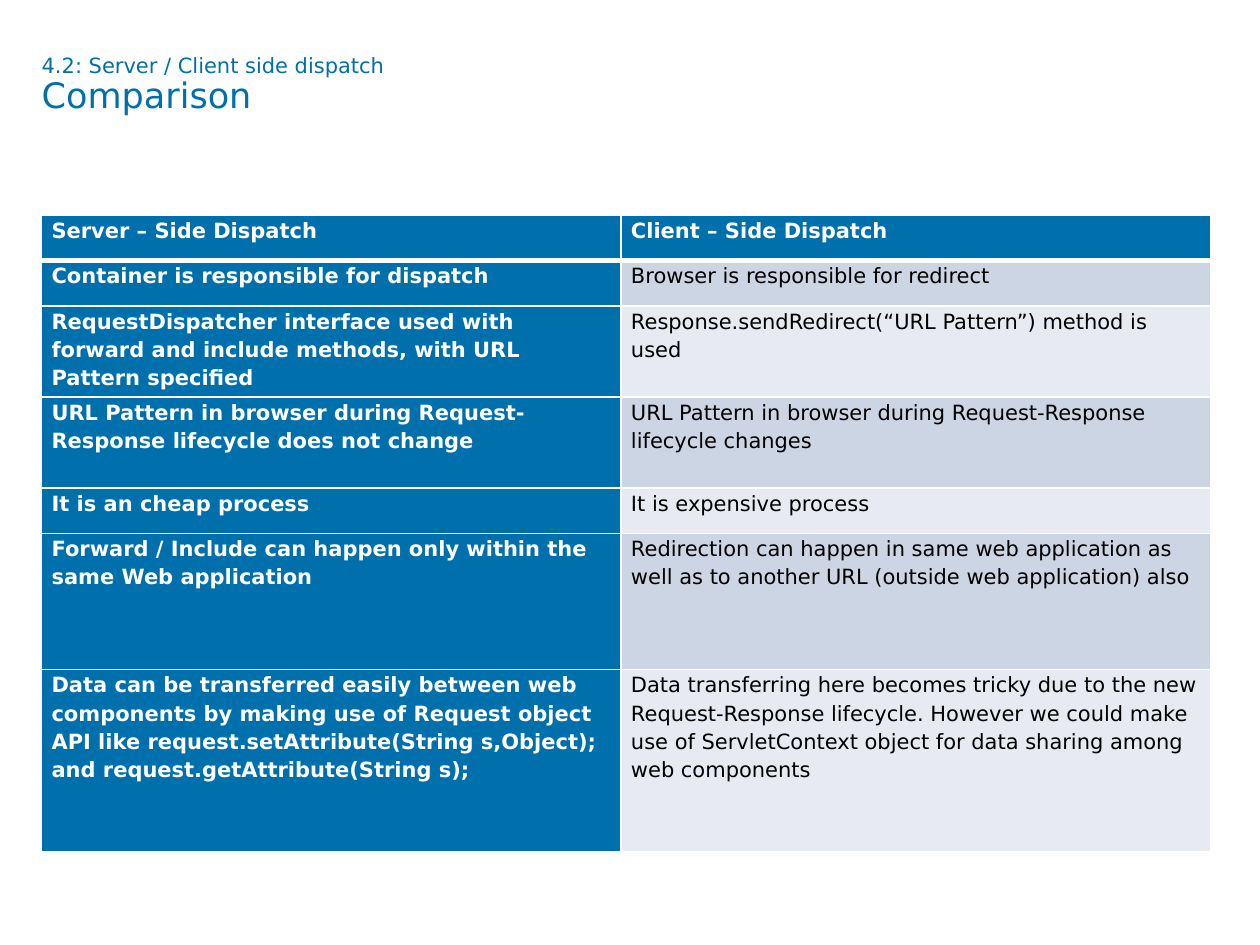
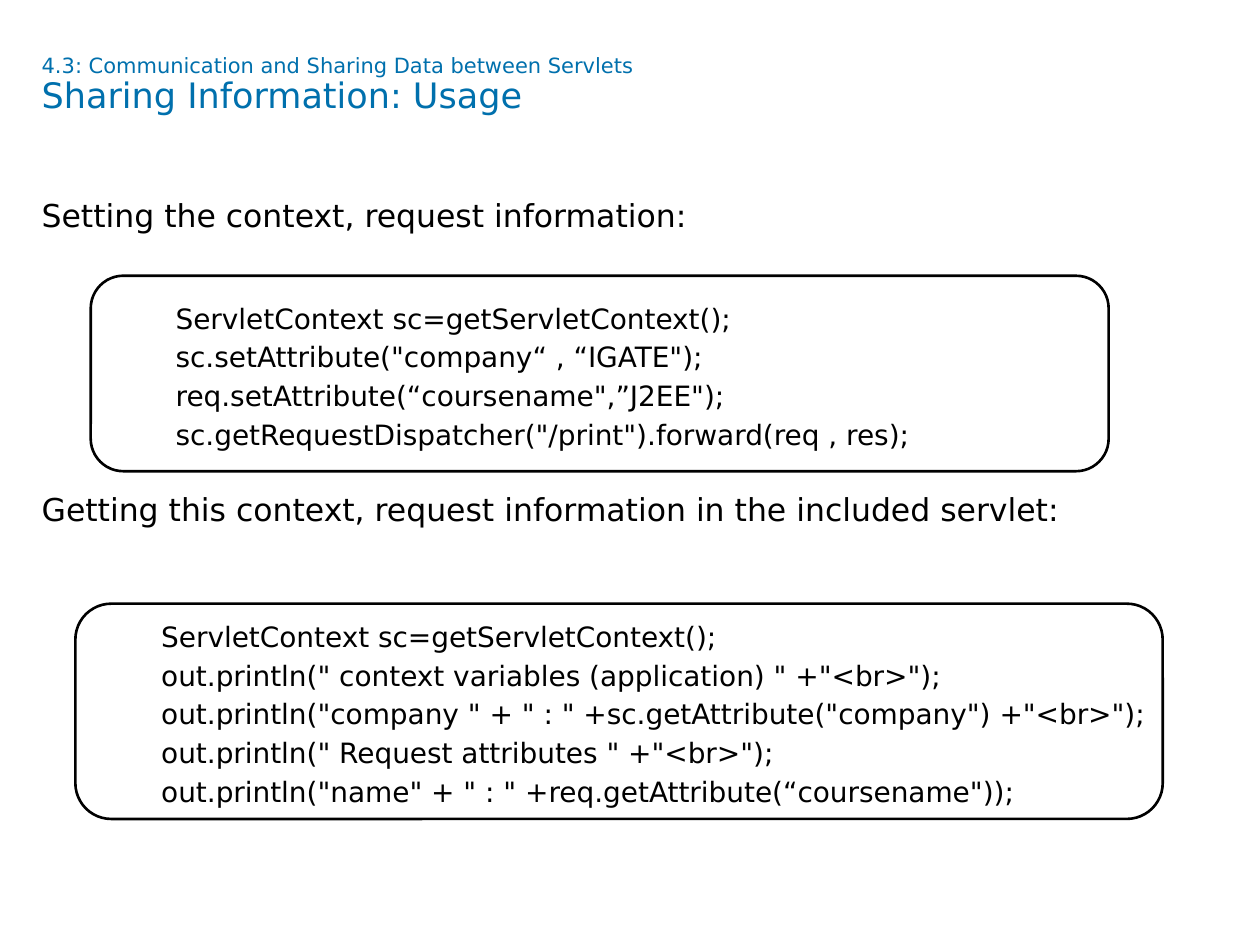
from lxml import etree
from pptx import Presentation
from pptx.dml.color import RGBColor
from pptx.enum.shapes import MSO_SHAPE as Shape
from pptx.enum.text import MSO_ANCHOR as Anchor, MSO_AUTO_SIZE as AutoSize, PP_ALIGN as Align
from pptx.oxml.ns import qn
from pptx.util import Cm, Pt

BLUE = RGBColor(0x00, 0x70, 0xAD)
WHITE = RGBColor(0xFF, 0xFF, 0xFF)
BLACK = RGBColor(0x00, 0x00, 0x00)
STRIPES = RGBColor(0xE7, 0xEB, 0xF1), RGBColor(0xCC, 0xD5, 0xE3)
FONT = "DejaVu Sans"

LEFT = 0.84
TITLE_BOX = (LEFT, 1.12, 22.96, 2.39)
TABLE_BOX = (LEFT, 4.34, 23.57, 12.83)
BODY_BOX = (LEFT, 4.14, 24.56, 12.9)
SETTING_BOX = (1.83, 5.56, 20.52, 3.94)
GETTING_BOX = (1.52, 12.17, 21.92, 4.34)

FRAME = {"margin_left": 0, "margin_top": 0, "margin_right": 0, "margin_bottom": 0,
         "word_wrap": True, "auto_size": AutoSize.NONE, "vertical_anchor": Anchor.TOP}
CODE_FRAME = {**FRAME, "margin_left": Cm(1.52), "vertical_anchor": Anchor.MIDDLE}
CELL = {"margin_left": Cm(0.2), "margin_right": Cm(0.2), "margin_top": 0,
        "margin_bottom": 0, "vertical_anchor": Anchor.TOP}
TITLE_LINES = {"alignment": Align.LEFT, "line_spacing": 0.9}
TEXT_LINES = {"alignment": Align.LEFT, "line_spacing": 1.15}
# The gap after the first heading leaves room for the code box.
HEADING_LINES = {"alignment": Align.LEFT, "line_spacing": Pt(16.5),
                 "space_before": Pt(0), "space_after": Pt(151.5)}

COLUMN_WIDTHS = (11.68, 11.89)
# Each row: height in units, server side, client side.
COMPARISON = [
    (1, "Server – Side Dispatch", "Client – Side Dispatch"),
    (1, "Container is responsible for dispatch", "Browser is responsible for redirect"),
    (2, "RequestDispatcher interface used with forward and include methods, "
        "with URL Pattern specified",
     "Response.sendRedirect(“URL Pattern”) method is used"),
    (2, "URL Pattern in browser during Request-Response lifecycle does not change",
     "URL Pattern in browser during Request-Response lifecycle changes"),
    (1, "It is an cheap process", "It is expensive process"),
    (3, "Forward / Include can happen only within the same Web application",
     "Redirection can happen in same web application as well as to another URL "
     "(outside web application) also"),
    (4, "Data can be transferred easily between web components by making use of Request "
        "object API like request.setAttribute(String s,Object); and "
        "request.getAttribute(String s);",
     "Data transferring here becomes tricky due to the new Request-Response lifecycle. "
     "However we could make use of ServletContext object for data sharing among "
     "web components"),
]
HEADINGS = ["Setting the context, request information:",
            "Getting this context, request information in the included servlet:"]
SETTING_CODE = [
    'ServletContext sc=getServletContext();',
    'sc.setAttribute("company“ , “IGATE");',
    'req.setAttribute(“coursename",”J2EE");',
    'sc.getRequestDispatcher("/print").forward(req , res);',
]
GETTING_CODE = [
    'ServletContext sc=getServletContext();',
    'out.println(" context variables (application) " +"<br>");',
    'out.println("company " + " : " +sc.getAttribute("company") +"<br>");',
    'out.println(" Request attributes " +"<br>");',
    'out.println("name" + " : " +req.getAttribute(“coursename"));',
]


def apply_format(target, values):
    for name, value in values.items():
        setattr(target, name, value)


def to_cm(box):
    return [Cm(length) for length in box]


def add_run(paragraph, text, size, color, bold=False):
    run = paragraph.add_run()
    run.text = text
    apply_format(run.font, {"name": FONT, "size": Pt(size), "bold": bold})
    run.font.color.rgb = color


def write_lines(text_frame, lines, size, paragraph_format):
    for index, line in enumerate(lines):
        paragraph = text_frame.add_paragraph() if index else text_frame.paragraphs[0]
        apply_format(paragraph, paragraph_format)
        add_run(paragraph, line, size, BLACK)


def add_titled_slide(presentation, section, heading):
    slide = presentation.slides.add_slide(presentation.slide_layouts.get_by_name("Title Only"))
    title = slide.shapes.title
    apply_format(title, dict(zip(("left", "top", "width", "height"), to_cm(TITLE_BOX))))
    apply_format(title.text_frame, FRAME)
    paragraph = title.text_frame.paragraphs[0]
    apply_format(paragraph, TITLE_LINES)
    add_run(paragraph, section, 12, BLUE)
    paragraph.add_line_break()
    add_run(paragraph, heading, 20, BLUE)
    return slide


def add_borders(cell, row):
    """Draw white borders, with a thick rule between the header and the body."""
    widths = {"a:lnL": 1, "a:lnR": 1, "a:lnT": 3 if row == 1 else 1,
              "a:lnB": 3 if row == 0 else 1}
    properties = cell._tc.get_or_add_tcPr()
    for tag, width in widths.items():
        line = etree.SubElement(properties, qn(tag), w=str(Pt(width)))
        fill = etree.SubElement(line, qn("a:solidFill"))
        etree.SubElement(fill, qn("a:srgbClr"), val=str(WHITE))


def add_comparison_table(slide, box):
    table = slide.shapes.add_table(len(COMPARISON), len(COLUMN_WIDTHS), *to_cm(box)).table
    for column, width in zip(table.columns, COLUMN_WIDTHS):
        column.width = Cm(width)
    unit = box[3] / sum(units for units, *_ in COMPARISON)
    for row, (units, *texts) in enumerate(COMPARISON):
        table.rows[row].height = Cm(units * unit)
        for column, text in enumerate(texts):
            cell = table.cell(row, column)
            strong = row == 0 or column == 0
            apply_format(cell, CELL)
            add_borders(cell, row)
            cell.fill.solid()
            cell.fill.fore_color.rgb = BLUE if strong else STRIPES[row % 2]
            paragraph = cell.text_frame.paragraphs[0]
            apply_format(paragraph, TEXT_LINES)
            add_run(paragraph, text, 12, WHITE if strong else BLACK, strong)


def add_headings(slide, box):
    text_frame = slide.shapes.add_textbox(*to_cm(box)).text_frame
    apply_format(text_frame, FRAME)
    write_lines(text_frame, HEADINGS, 18, HEADING_LINES)


def add_code_box(slide, box, lines):
    shape = slide.shapes.add_shape(Shape.ROUNDED_RECTANGLE, *to_cm(box))
    shape.shadow.inherit = False
    shape.fill.background()
    shape.line.color.rgb = BLACK
    shape.line.width = Pt(1.5)
    apply_format(shape.text_frame, CODE_FRAME)
    write_lines(shape.text_frame, lines, 16, TEXT_LINES)


def add_comparison_slide(presentation):
    slide = add_titled_slide(presentation, "4.2: Server / Client side dispatch", "Comparison")
    add_comparison_table(slide, TABLE_BOX)


def add_sharing_slide(presentation):
    slide = add_titled_slide(presentation,
                             "4.3: Communication and Sharing Data between Servlets",
                             "Sharing Information: Usage")
    add_headings(slide, BODY_BOX)
    add_code_box(slide, SETTING_BOX, SETTING_CODE)
    add_code_box(slide, GETTING_BOX, GETTING_CODE)


def main():
    presentation = Presentation()
    presentation.slide_width, presentation.slide_height = Cm(25.4), Cm(19.05)
    add_comparison_slide(presentation)
    add_sharing_slide(presentation)
    presentation.save("out.pptx")


if __name__ == "__main__":
    main()
